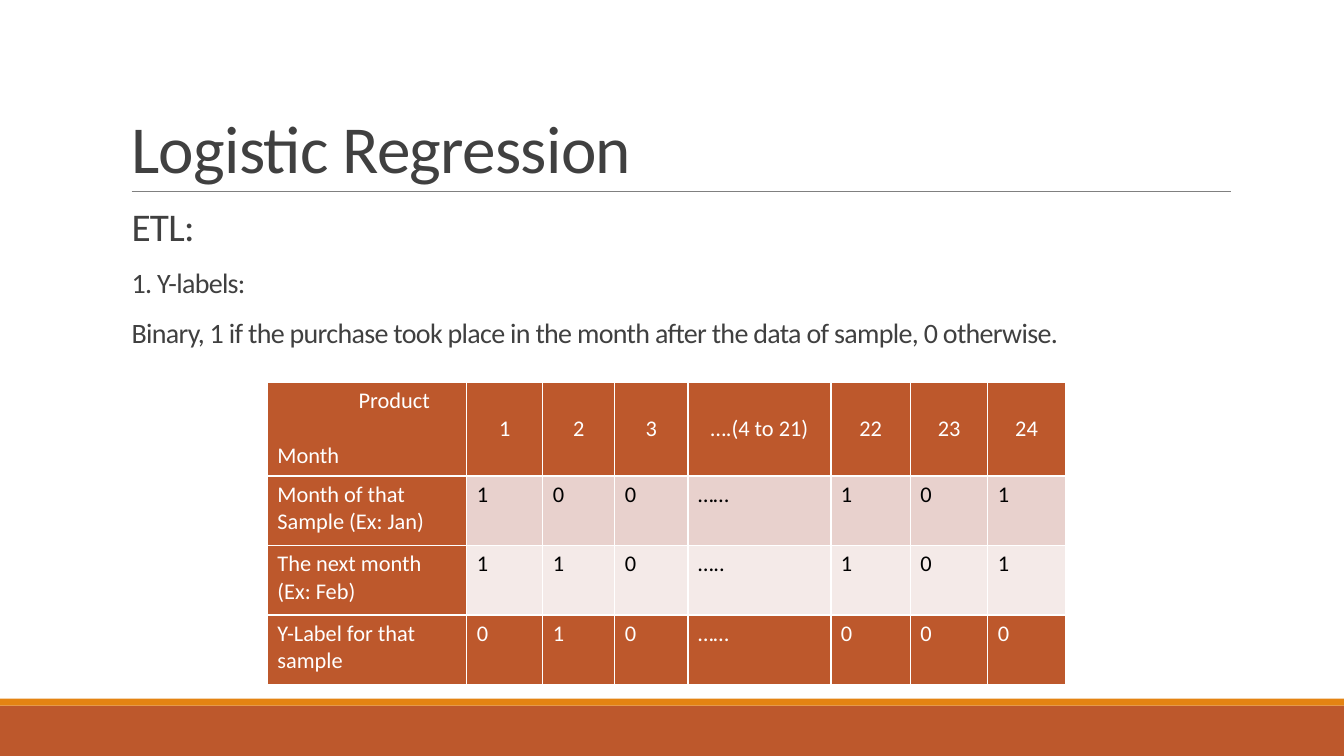
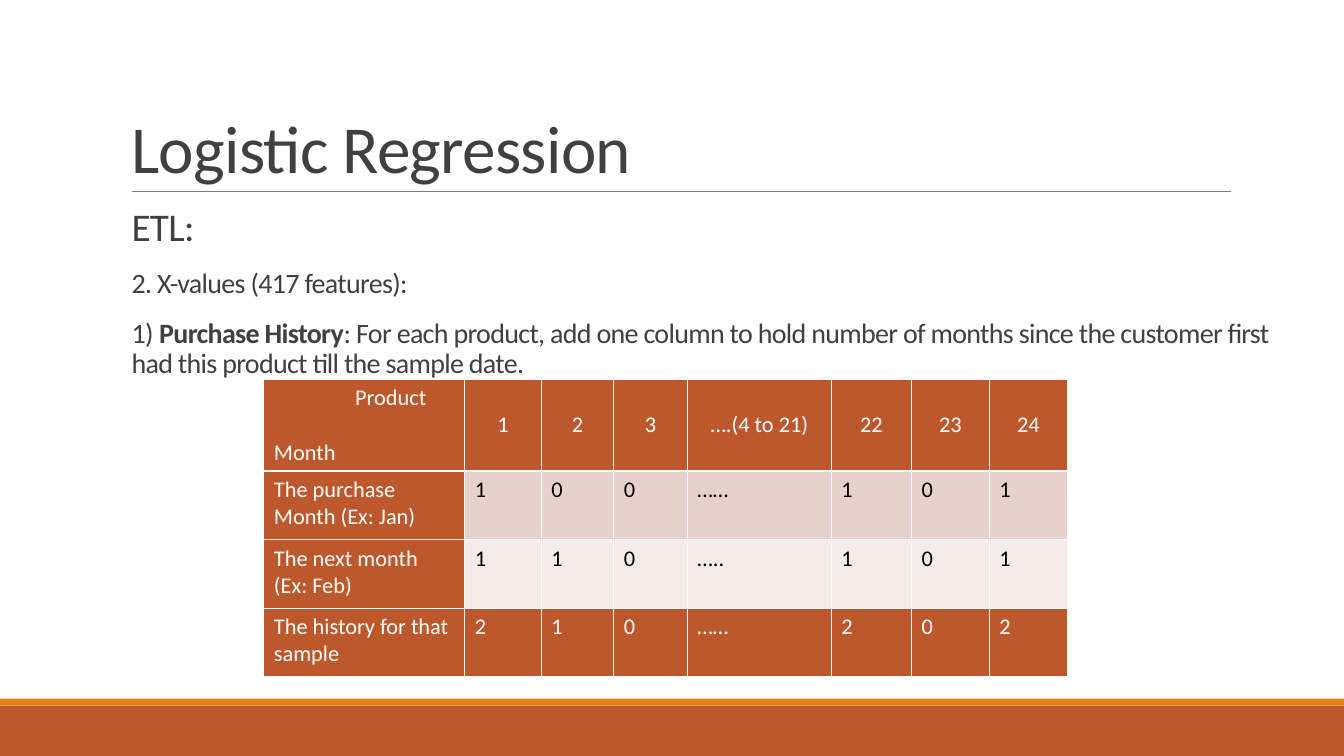
from lxml import etree
from pptx import Presentation
from pptx.dml.color import RGBColor
from pptx.enum import shapes, text
from pptx.oxml import ns
from pptx.util import Pt

RUST = RGBColor(0xBD, 0x58, 0x2C)
ORANGE = RGBColor(0xE4, 0x83, 0x12)
INK = RGBColor(0x40, 0x40, 0x40)
RULE_GREY = RGBColor(0x80, 0x80, 0x80)
ROSE = RGBColor(0xE8, 0xD1, 0xCD)
PALE_ROSE = RGBColor(0xF4, 0xEA, 0xE8)
WHITE = RGBColor(0xFF, 0xFF, 0xFF)
BLACK = RGBColor(0, 0, 0)

FONT = "Calibri"
SLIDE_W, SLIDE_H = 960, 540
TITLE_BOX = (86.5, 22, 792, 115)
BODY_BOX = (94, 144.7, 822, 317)
PRODUCTS = ["1", "2", "3", "….(4 to 21)", "22", "23", "24"]
COLUMN_SHARES = [143, 54.5, 51.5, 52.5, 102.5, 57, 55.5, 55.5]
ROW_COLOURS = [(ROSE, BLACK), (PALE_ROSE, BLACK), (RUST, WHITE)]

SLIDES = [
    dict(
        body=[["ETL:"], ["1. Y-labels:"],
              ["Binary, 1 if the purchase took place in the month after the "
               "data of sample, 0 otherwise."]],
        table_box=(191, 273, 570, 216),
        header_height=67,
        rows=[
            ["Month of that Sample (Ex: Jan)", "1", "0", "0", "……", "1", "0", "1"],
            ["The next month (Ex: Feb)", "1", "1", "0", "…..", "1", "0", "1"],
            ["Y-Label for that sample", "0", "1", "0", "……", "0", "0", "0"],
        ],
    ),
    dict(
        body=[["ETL:"], ["2. X-values (417 features):"],
              ["1) ", "Purchase History",
               ": For each product, add one column to hold number of months "
               "since the customer first had this product till the sample date."]],
        table_box=(188.5, 271, 574, 212.5),
        header_height=65.5,
        rows=[
            ["The purchase Month (Ex: Jan)", "1", "0", "0", "……", "1", "0", "1"],
            ["The next month (Ex: Feb)", "1", "1", "0", "…..", "1", "0", "1"],
            ["The history for that sample", "2", "1", "0", "……", "2", "0", "2"],
        ],
    ),
]


def set_font(paragraph, size, colour):
    font = paragraph.font
    font.name, font.size = FONT, Pt(size)
    font.color.rgb = colour


def tighten(paragraph):
    for run in paragraph.runs:
        run.font._element.set("spc", "-50")


def add_band(slide, box, colour):
    band = slide.shapes.add_shape(shapes.MSO_SHAPE.RECTANGLE, *map(Pt, box))
    band.shadow.inherit = False
    band.fill.solid()
    band.fill.fore_color.rgb = colour
    band.line.fill.background()


def add_frame(slide):
    add_band(slide, (0, 504, SLIDE_W, 36), RUST)
    add_band(slide, (0, 499, SLIDE_W, 5), ORANGE)
    rule = slide.shapes.add_connector(
        shapes.MSO_CONNECTOR.STRAIGHT, Pt(94), Pt(136.5), Pt(879), Pt(136.5))
    rule.line.color.rgb = RULE_GREY
    rule.line.width = Pt(0.5)
    etree.SubElement(rule._element.spPr, ns.qn("a:effectLst"))


def place_title(slide, box, wording):
    title = slide.shapes.title
    title.left, title.top, title.width, title.height = map(Pt, box)
    frame = title.text_frame
    frame.text = wording
    frame.auto_size = text.MSO_AUTO_SIZE.NONE
    frame.vertical_anchor = text.MSO_ANCHOR.BOTTOM
    heading = frame.paragraphs[0]
    heading.alignment = text.PP_ALIGN.LEFT
    heading.line_spacing = 0.85
    set_font(heading, 48, INK)
    tighten(heading)


def add_body(slide, box, paragraphs):
    frame = slide.shapes.add_textbox(*map(Pt, box)).text_frame
    frame.word_wrap = True
    frame.margin_left = frame.margin_right = 0
    for index, pieces in enumerate(paragraphs):
        paragraph = frame.add_paragraph() if index else frame.paragraphs[0]
        paragraph.line_spacing = 0.9
        paragraph.space_before, paragraph.space_after = Pt(12), Pt(2)
        set_font(paragraph, 20 if index else 28, INK)
        for position, piece in enumerate(pieces):
            run = paragraph.add_run()
            run.text = piece
            if position == 1:
                run.font.bold = True
        tighten(paragraph)


def add_borders(cell):
    properties = cell._tc.get_or_add_tcPr()
    for position, side in enumerate(("lnL", "lnR", "lnT", "lnB")):
        border = etree.Element(ns.qn(f"a:{side}"), w=str(Pt(1)))
        fill = etree.SubElement(border, ns.qn("a:solidFill"))
        etree.SubElement(fill, ns.qn("a:srgbClr"), val=str(WHITE))
        properties.insert(position, border)


def fill_cell(cell, wording, fill, colour):
    cell.text = wording
    cell.fill.solid()
    cell.fill.fore_color.rgb = fill
    add_borders(cell)
    for paragraph in cell.text_frame.paragraphs:
        set_font(paragraph, 16, colour)
        paragraph.font.bold = False


def add_month_table(slide, box, header_height, rows):
    left, top, width, height = box
    table = slide.shapes.add_table(
        len(rows) + 1, len(COLUMN_SHARES), *map(Pt, box)).table
    for column, share in zip(table.columns, COLUMN_SHARES):
        column.width = Pt(width * share / sum(COLUMN_SHARES))
    for row in table.rows:
        row.height = Pt((height - header_height) / len(rows))
    table.rows[0].height = Pt(header_height)

    corner = table.cell(0, 0)
    fill_cell(corner, "Product\nMonth", RUST, WHITE)
    product, month = corner.text_frame.paragraphs
    product._p.get_or_add_pPr().set("marL", str(Pt(58)))
    month.space_before = Pt(19.5)
    for column, name in enumerate(PRODUCTS, 1):
        cell = table.cell(0, column)
        fill_cell(cell, name, RUST, WHITE)
        cell.vertical_anchor = text.MSO_ANCHOR.MIDDLE
        cell.text_frame.paragraphs[0].alignment = text.PP_ALIGN.CENTER

    for row, (values, colours) in enumerate(zip(rows, ROW_COLOURS), 1):
        for column, value in enumerate(values):
            fill, colour = colours if column else (RUST, WHITE)
            fill_cell(table.cell(row, column), value, fill, colour)


def add_etl_slide(deck, body, table_box, header_height, rows):
    slide = deck.slides.add_slide(deck.slide_layouts[5])
    add_frame(slide)
    place_title(slide, TITLE_BOX, "Logistic Regression")
    add_body(slide, BODY_BOX, body)
    add_month_table(slide, table_box, header_height, rows)


def main():
    deck = Presentation()
    deck.slide_width, deck.slide_height = Pt(SLIDE_W), Pt(SLIDE_H)
    for content in SLIDES:
        add_etl_slide(deck, **content)
    deck.save("out.pptx")


if __name__ == "__main__":
    main()
